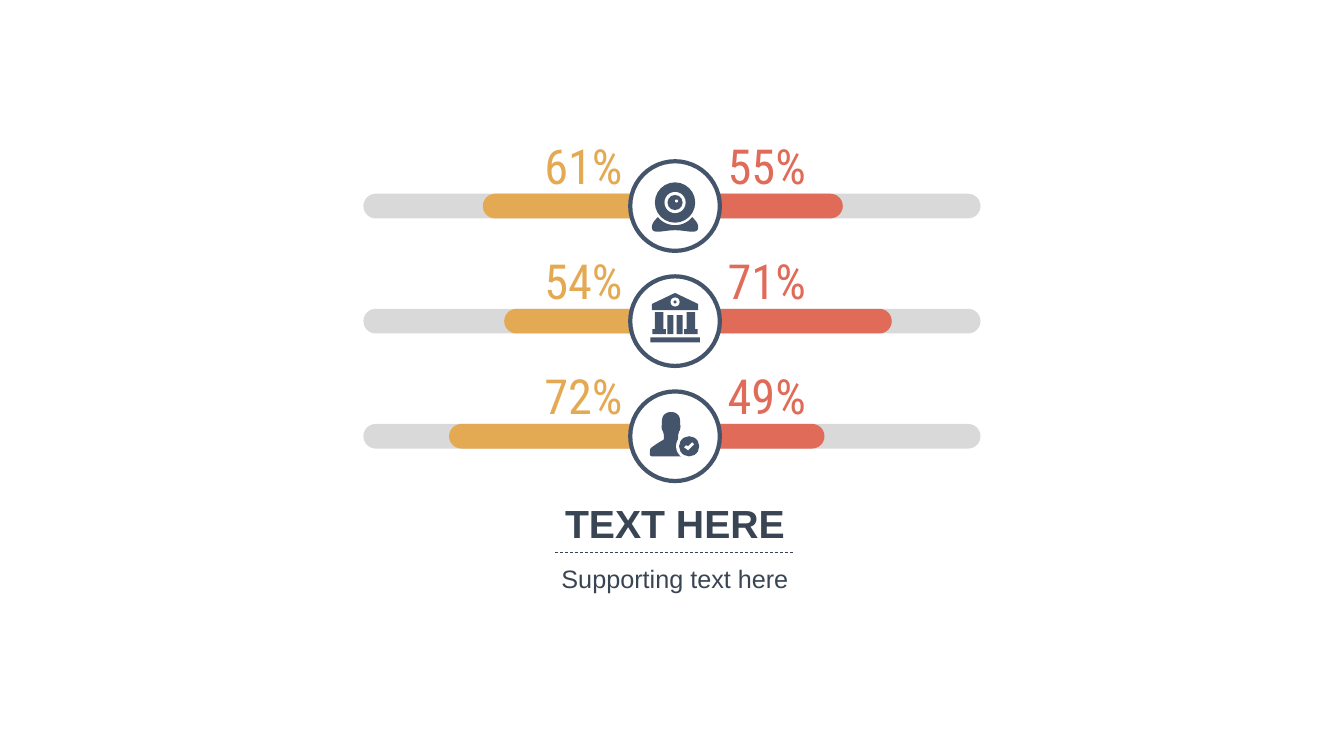
"""Build a slide of three paired percentage bars with icons and a caption."""
import pptx
import pptx.dml.color
import pptx.enum.dml
import pptx.enum.shapes
import pptx.enum.text
import pptx.oxml
import pptx.oxml.ns
import pptx.util

Pt = pptx.util.Pt
RGBColor = pptx.dml.color.RGBColor
SHAPE = pptx.enum.shapes.MSO_SHAPE
ANCHOR = pptx.enum.text.MSO_ANCHOR

GOLD = RGBColor(0xE4, 0xAA, 0x53)
CORAL = RGBColor(0xE0, 0x6B, 0x59)
TRACK = RGBColor(0xD9, 0xD9, 0xD9)
SLATE = RGBColor(0x44, 0x54, 0x6A)
INK = RGBColor(0x3A, 0x45, 0x54)
WHITE = RGBColor(0xFF, 0xFF, 0xFF)

LEFT, RIGHT = -1, 1
DISC_AXIS, DISC_RADIUS = 482.2, 32
FIRST_ROW, ROW_PITCH = 147.2, 82.2
BAR_AXIS, BAR_GAP = 480, 3.6
BAR_LENGTH, BAR_HEIGHT = 218.6, 17.6
LABEL_OFFSET, LABEL_RISE = 65.5, 29
LABEL_WIDTH, LABEL_HEIGHT = 49, 24.4
CAPTION_LEFT, CAPTION_WIDTH = 396.4, 171.4
TITLE_TOP, TITLE_HEIGHT = 352.8, 41.8
SUPPORT_TOP, SUPPORT_HEIGHT = 398.9, 35.3

ICON_UNIT = 0.72
CAMERA_STAND = [(0, 19), (7, 19, 13, 16, 17, 11),
                (20, 14, 23, 17, 23, 21), (23, 29, 12, 24, 0, 24)]
MUSEUM_ROOF = [(0, -28), (23, -17), (23, -11), (0, -11)]
PERSON_AXIS = -4
PERSON_HEAD = [(-4, -24), (-9, -24, -13, -21, -13, -15), (-13, -11),
               (-14, -11, -13, -5, -12, -5), (-11, -1), (-11, 3)]
PERSON_SHOULDER = [(-12, 4, -18, 7, -23, 11), (-25, 12, -25, 14, -25, 18),
                   (-25, 19, -24, 20, -23, 20), (-4, 20)]
TICK = [(17, 6), (13, 10), (11, 9), (9, 11), (13, 14), (19, 8)]


def write(frame, text, font="Arial", size=18, color=INK, bold=False,
          anchor=ANCHOR.MIDDLE, margins=(7.2, 3.6)):
    frame.word_wrap = False
    frame.auto_size = pptx.enum.text.MSO_AUTO_SIZE.NONE
    frame.vertical_anchor = anchor
    frame.margin_left = frame.margin_right = Pt(margins[0])
    frame.margin_top = frame.margin_bottom = Pt(margins[1])
    para = frame.paragraphs[0]
    para.alignment = pptx.enum.text.PP_ALIGN.CENTER
    span = para.add_run()
    span.text = text
    span.font.name = font
    span.font.size = Pt(size)
    span.font.bold = bold
    span.font.color.rgb = color


def bezier(a, b, c, d, t):
    s = 1 - t
    return a * s ** 3 + 3 * b * s * s * t + 3 * c * s * t * t + d * t ** 3


def trace(segments, steps=8):
    points = []
    for segment in segments:
        if len(segment) == 2:
            points.append(segment)
        else:
            x, y = points[-1]
            points += [(bezier(x, *segment[0::2], step / steps),
                        bezier(y, *segment[1::2], step / steps))
                       for step in range(1, steps + 1)]
    return points


def symmetric(half, axis=0):
    points = trace(half)
    return points + [(2 * axis - x, y) for x, y in reversed(points[1:-1])]


class Sketch:
    def __init__(self, page):
        self.shapes = page.shapes

    def paint(self, shape, fill, line=None):
        shape.shadow.inherit = False
        shape.fill.solid()
        shape.fill.fore_color.rgb = fill
        if line is None:
            shape.line.fill.background()
        else:
            shape.line.color.rgb = line
            shape.line.width = Pt(3)

    def preset(self, kind, left, top, width, height, fill, line=None):
        shape = self.shapes.add_shape(
            kind, Pt(left), Pt(top), Pt(width), Pt(height))
        self.paint(shape, fill, line)
        return shape

    def disc(self, x, y, radius, fill, line=None):
        self.preset(SHAPE.OVAL, x - radius, y - radius,
                    2 * radius, 2 * radius, fill, line)

    def bar(self, middle, length, side, fill):
        inner_end = BAR_AXIS + side * BAR_GAP / 2
        left = min(inner_end, inner_end + side * length)
        bar = self.preset(SHAPE.ROUNDED_RECTANGLE, left,
                          middle - BAR_HEIGHT / 2, length, BAR_HEIGHT, fill)
        bar.adjustments[0] = 0.5

    def score(self, middle, percent, side, color):
        self.bar(middle, BAR_LENGTH, side, TRACK)
        self.bar(middle, BAR_LENGTH * percent / 100, side, color)
        self.label(f"{percent}%",
                   DISC_AXIS + side * LABEL_OFFSET - LABEL_WIDTH / 2,
                   middle - LABEL_RISE - LABEL_HEIGHT / 2,
                   LABEL_WIDTH, LABEL_HEIGHT, font="Roboto Condensed",
                   size=34.5, color=color, margins=(0, 0))

    def title(self, text, left, top, width, height, **style):
        box = self.shapes.title
        box.left, box.top = Pt(left), Pt(top)
        box.width, box.height = Pt(width), Pt(height)
        write(box.text_frame, text, **style)

    def label(self, text, left, top, width, height, **style):
        box = self.shapes.add_textbox(Pt(left), Pt(top), Pt(width), Pt(height))
        write(box.text_frame, text, **style)

    def rule(self, left, top, width):
        rule = self.shapes.add_connector(
            pptx.enum.shapes.MSO_CONNECTOR.STRAIGHT,
            Pt(left), Pt(top), Pt(left + width), Pt(top))
        rule.line.color.rgb = INK
        rule.line.width = Pt(0.5)
        rule.line.dash_style = pptx.enum.dml.MSO_LINE.DASH
        rule._element.spPr.append(pptx.oxml.parse_xml(
            "<a:effectLst %s/>" % pptx.oxml.ns.nsdecls("a")))

    def icon_disc(self, middle, x, y, radius, fill):
        self.disc(DISC_AXIS + x * ICON_UNIT, middle + y * ICON_UNIT,
                  radius * ICON_UNIT, fill)

    def icon_block(self, middle, x, y, width, height):
        self.preset(SHAPE.RECTANGLE, DISC_AXIS + (x - width / 2) * ICON_UNIT,
                    middle + y * ICON_UNIT, width * ICON_UNIT,
                    height * ICON_UNIT, SLATE)

    def icon_outline(self, middle, points, fill=SLATE):
        corners = [(Pt(DISC_AXIS + x * ICON_UNIT), Pt(middle + y * ICON_UNIT))
                   for x, y in points]
        builder = self.shapes.build_freeform(*corners[0])
        builder.add_line_segments(corners[1:], close=True)
        self.paint(builder.convert_to_shape(), fill)

    def camera(self, middle):
        self.icon_outline(middle, symmetric(CAMERA_STAND))
        for radius, fill in ((20, SLATE), (10.5, WHITE), (7.5, SLATE)):
            self.icon_disc(middle, 0, -3.5, radius, fill)
        self.icon_disc(middle, 1.5, -5, 1.5, WHITE)

    def museum(self, middle):
        self.icon_outline(middle, symmetric(MUSEUM_ROOF))
        for radius, fill in ((4.5, WHITE), (1.5, SLATE)):
            self.icon_disc(middle, 0, -19, radius, fill)
        for side in (LEFT, RIGHT):
            self.icon_block(middle, side * 4.5, -6, 6, 19)
            self.icon_block(middle, side * 15.75, -9, 8.5, 17)
            self.icon_block(middle, side * 15.75, 8, 13.5, 5)
        self.icon_block(middle, 0, 16, 49, 5)

    def person(self, middle):
        self.icon_outline(
            middle, symmetric(PERSON_HEAD + PERSON_SHOULDER, PERSON_AXIS))
        for radius, fill in ((13, WHITE), (10, SLATE)):
            self.icon_disc(middle, 14, 10, radius, fill)
        self.icon_outline(middle, TICK, WHITE)


def main():
    deck = pptx.Presentation()
    deck.slide_width, deck.slide_height = Pt(960), Pt(540)
    sketch = Sketch(deck.slides.add_slide(deck.slide_layouts[5]))
    rows = ((61, 55, sketch.camera), (54, 71, sketch.museum),
            (72, 49, sketch.person))
    for index, (gold_percent, coral_percent, draw_icon) in enumerate(rows):
        middle = FIRST_ROW + index * ROW_PITCH
        sketch.score(middle, gold_percent, LEFT, GOLD)
        sketch.score(middle, coral_percent, RIGHT, CORAL)
        sketch.disc(DISC_AXIS, middle, DISC_RADIUS, WHITE, SLATE)
        draw_icon(middle)
    sketch.title("TEXT HERE", CAPTION_LEFT, TITLE_TOP, CAPTION_WIDTH,
                 TITLE_HEIGHT, size=28, bold=True)
    sketch.rule(CAPTION_LEFT, TITLE_TOP + TITLE_HEIGHT, CAPTION_WIDTH)
    sketch.label("Supporting text here", CAPTION_LEFT, SUPPORT_TOP,
                 CAPTION_WIDTH, SUPPORT_HEIGHT, anchor=ANCHOR.TOP)
    deck.save("out.pptx")


if __name__ == "__main__":
    main()
